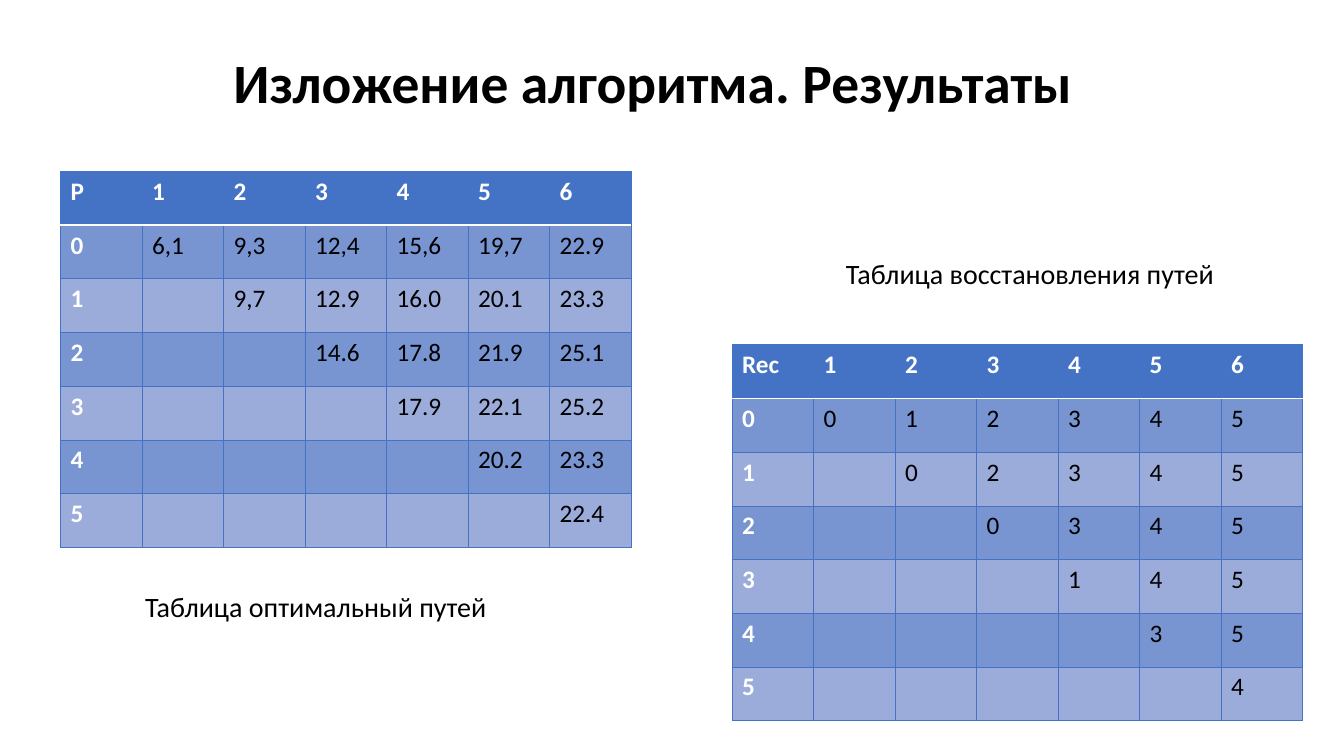
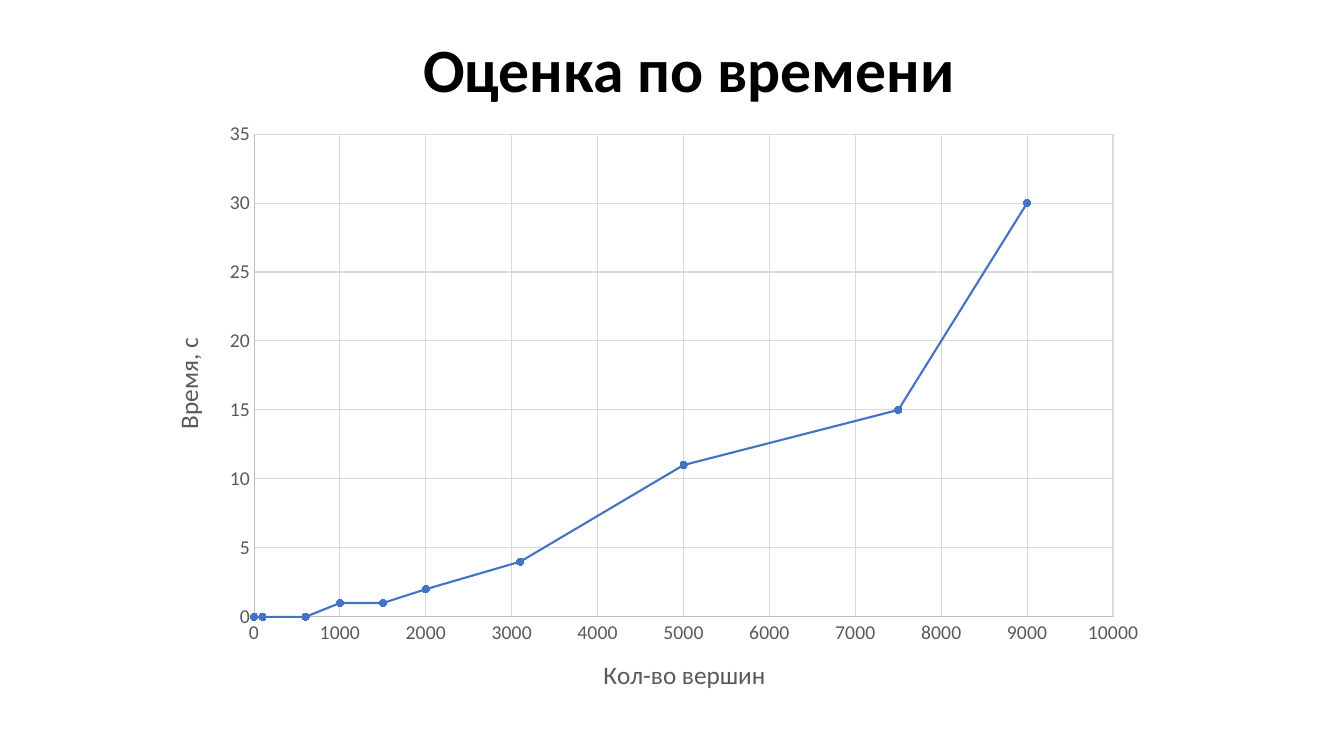
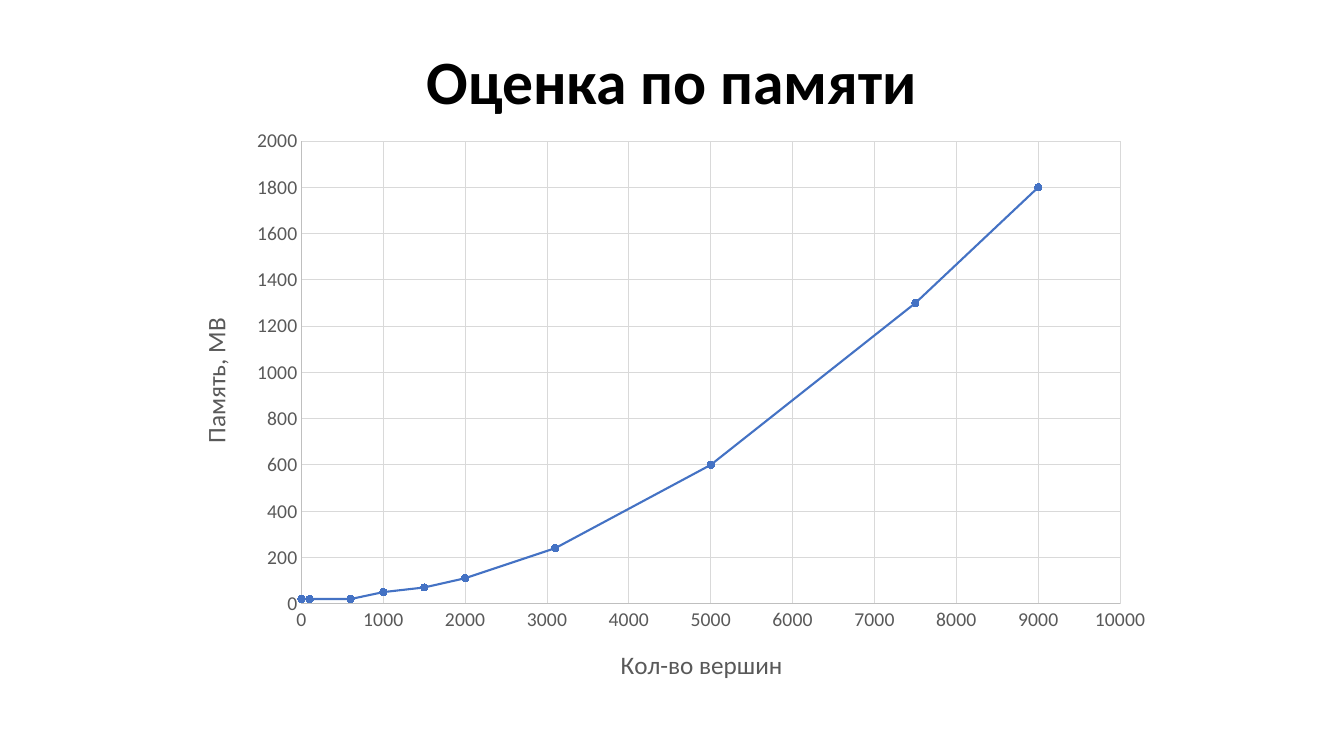
from lxml.etree import SubElement
from pptx import Presentation
from pptx.chart.data import XyChartData
from pptx.dml.color import RGBColor
from pptx.enum.chart import XL_CHART_TYPE, XL_MARKER_STYLE, XL_TICK_MARK
from pptx.enum.text import MSO_ANCHOR, PP_ALIGN
from pptx.oxml.ns import qn
from pptx.util import Pt

PX = 9144
FONT = "Calibri"
COLORS = {
    "accent": "4472C4",
    "band_dark": "7894D1",
    "band_light": "9BABDA",
    "text": "000000",
    "white": "FFFFFF",
    "axis_text": "595959",
    "axis": "BFBFBF",
    "grid": "D9D9D9",
}
VERTICES = [0, 0, 100, 600, 600, 1000, 1500, 2000, 3100, 5000, 7500, 9000]
SECONDS = [0, 0, 0, 0, 0, 1, 1, 2, 4, 11, 15, 30]
MEGABYTES = [20, 20, 20, 20, 20, 50, 70, 110, 240, 600, 1300, 1800]
PATHS = [
    ["6,1", "9,3", "12,4", "15,6", "19,7", "22.9"],
    ["9,7", "12.9", "16.0", "20.1", "23.3"],
    ["14.6", "17.8", "21.9", "25.1"],
    ["17.9", "22.1", "25.2"],
    ["20.2", "23.3"],
    ["22.4"],
]
RECOVERY = ["012345", "02345", "0345", "145", "35", "4"]


def rgb(name):
    """Return the named colour."""
    return RGBColor.from_string(COLORS[name])


def emu(*lengths):
    """Turn px into EMU."""
    return [n * PX for n in lengths]


def style_font(font, size, color, bold=False):
    """Set the face, size, colour and weight of a font."""
    font.name, font.size, font.bold = FONT, Pt(size), bold
    font.color.rgb = rgb(color)


def style_line(line, color, width):
    """Set the colour and width of a line."""
    line.color.rgb = rgb(color)
    line.width = Pt(width)


def add_run(p, text, size, color="text", bold=False):
    """Add one styled run to a paragraph."""
    r = p.add_run()
    r.text = text
    style_font(r.font, size, color, bold)


def add_title(s, text, box, size=44):
    """Add a bold centred slide title."""
    tf = s.shapes.add_textbox(*emu(*box)).text_frame
    tf.word_wrap = True
    tf.vertical_anchor = MSO_ANCHOR.MIDDLE
    p = tf.paragraphs[0]
    p.alignment = PP_ALIGN.CENTER
    p.line_spacing = 0.9
    add_run(p, text, size, bold=True)


def add_caption(s, text, box):
    """Add a one-line table caption."""
    tf = s.shapes.add_textbox(*emu(*box)).text_frame
    tf.word_wrap = False
    add_run(tf.paragraphs[0], text, 20)


def add_border(cell, side, color, width):
    """Draw one side of a table cell."""
    tc_pr = cell._tc.get_or_add_tcPr()
    ln = SubElement(tc_pr, qn(f"a:ln{side}"), w=str(Pt(width)))
    fill = SubElement(ln, qn("a:solidFill"))
    SubElement(fill, qn("a:srgbClr"), val=COLORS[color])


def style_cell(cell, row):
    """Give a cell its borders and band colour."""
    white_side = {0: "B", 1: "T"}.get(row)
    for side in "LRTB":
        if side == white_side:
            add_border(cell, side, "white", 1)
        else:
            add_border(cell, side, "accent", 0.5)
    band = "band_dark" if row % 2 else "band_light"
    cell.fill.solid()
    cell.fill.fore_color.rgb = rgb(band if row else "accent")


def add_triangle_table(s, corner, triangle, left, top):
    """Add a table whose rows fill the upper triangle."""
    n = len(triangle) + 1
    rows = [[corner] + [str(i) for i in range(1, n)]]
    rows += [[str(i)] + [""] * i + list(v) for i, v in enumerate(triangle)]
    table = s.shapes.add_table(n, n, *emu(left, top, 566, 373)).table
    table.horz_banding = False
    for i, row in enumerate(rows):
        for j, text in enumerate(row):
            cell = table.cell(i, j)
            style_cell(cell, i)
            head = i == 0 or j == 0
            if text:
                p = cell.text_frame.paragraphs[0]
                add_run(p, text, 18, "white" if head else "text", head)


def set_layout(parent, box, place, inner=False):
    """Place a chart part, given in slide px, inside the chart box."""
    for old in parent.findall(qn("c:layout")):
        parent.remove(old)
    layout = SubElement(parent, qn("c:layout"))
    parent.insert(len(parent.findall(qn("c:tx"))), layout)
    manual = SubElement(layout, qn("c:manualLayout"))
    if inner:
        SubElement(manual, qn("c:layoutTarget"), val="inner")
    for mode in ("xMode", "yMode"):
        SubElement(manual, qn(f"c:{mode}"), val="edge")
    left, top, width, height = box
    origins, sizes = (left, top, 0, 0), (width, height, width, height)
    for key, value, origin, size in zip("xywh", place, origins, sizes):
        SubElement(manual, qn(f"c:{key}"), val=str((value - origin) / size))


def style_axis(axis, title, top, step, box, place):
    """Set the scale, lines and title of an axis."""
    axis.minimum_scale, axis.maximum_scale, axis.major_unit = 0, top, step
    axis.major_tick_mark = axis.minor_tick_mark = XL_TICK_MARK.NONE
    axis.has_major_gridlines = True
    style_line(axis.major_gridlines.format.line, "grid", 0.75)
    style_line(axis.format.line, "axis", 0.75)
    style_font(axis.tick_labels.font, 14, "axis_text")
    axis.tick_labels.number_format = "General"
    axis.tick_labels.number_format_is_linked = False
    tf = axis.axis_title.text_frame
    add_run(tf.paragraphs[0], title, 18, "axis_text")
    set_layout(axis.axis_title._element, box, place)
    return tf


def add_growth_chart(s, box, values, title, top, step, plot, x_place, y_place):
    """Add a line of measurements against the number of vertices."""
    data = XyChartData()
    series = data.add_series("Series 1")
    for x, y in zip(VERTICES, values):
        series.add_data_point(x, y)
    kind = XL_CHART_TYPE.XY_SCATTER_LINES
    chart = s.shapes.add_chart(kind, *emu(*box), data).chart
    chart.has_legend = chart.has_title = False
    style_font(chart.font, 10, "text")
    chart.plots[0].vary_by_categories = False
    style_axis(chart.category_axis, "Кол-во вершин", 10000, 1000, box, x_place)
    tf = style_axis(chart.value_axis, title, top, step, box, y_place)
    tf._txBody.bodyPr.set("rot", "-5400000")
    tf._txBody.bodyPr.set("vert", "horz")
    line = chart.plots[0].series[0]
    line.smooth = False
    style_line(line.format.line, "accent", 1.5)
    line.marker.style, line.marker.size = XL_MARKER_STYLE.CIRCLE, 5
    line.marker.format.fill.solid()
    line.marker.format.fill.fore_color.rgb = rgb("accent")
    style_line(line.marker.format.line, "accent", 0.75)
    area = chart._chartSpace.find(qn("c:chart")).find(qn("c:plotArea"))
    set_layout(area, box, plot, inner=True)


def main():
    """Build and save the presentation."""
    prs = Presentation()
    prs.slide_width, prs.slide_height = emu(1333, 750)
    results, time, memory = [
        prs.slides.add_slide(prs.slide_layouts[6]) for _ in range(3)
    ]

    add_title(results, "Изложение алгоритма. Результаты", (205, 22, 885, 125), 39.6)
    add_triangle_table(results, "P", PATHS, 60, 170)
    add_triangle_table(results, "Rec", RECOVERY, 726, 342)
    add_caption(results, "Таблица оптимальный путей", (134, 580, 362, 44))
    add_caption(results, "Таблица восстановления путей", (829, 250, 389, 44))

    add_title(time, "Оценка по времени", (203, 9, 961, 125))
    add_growth_chart(time, (151, 109, 999, 599), SECONDS, "Время, c", 35, 5,
                     (252, 133, 852, 479), (594, 648), (165, 331))

    add_title(memory, "Оценка по памяти", (186, 21, 961, 125))
    add_growth_chart(memory, (177, 116, 979, 585), MEGABYTES, "Память, MB", 2000, 200,
                     (299, 140, 812, 459), (611, 638), (192, 311))

    prs.save("out.pptx")


if __name__ == "__main__":
    main()
